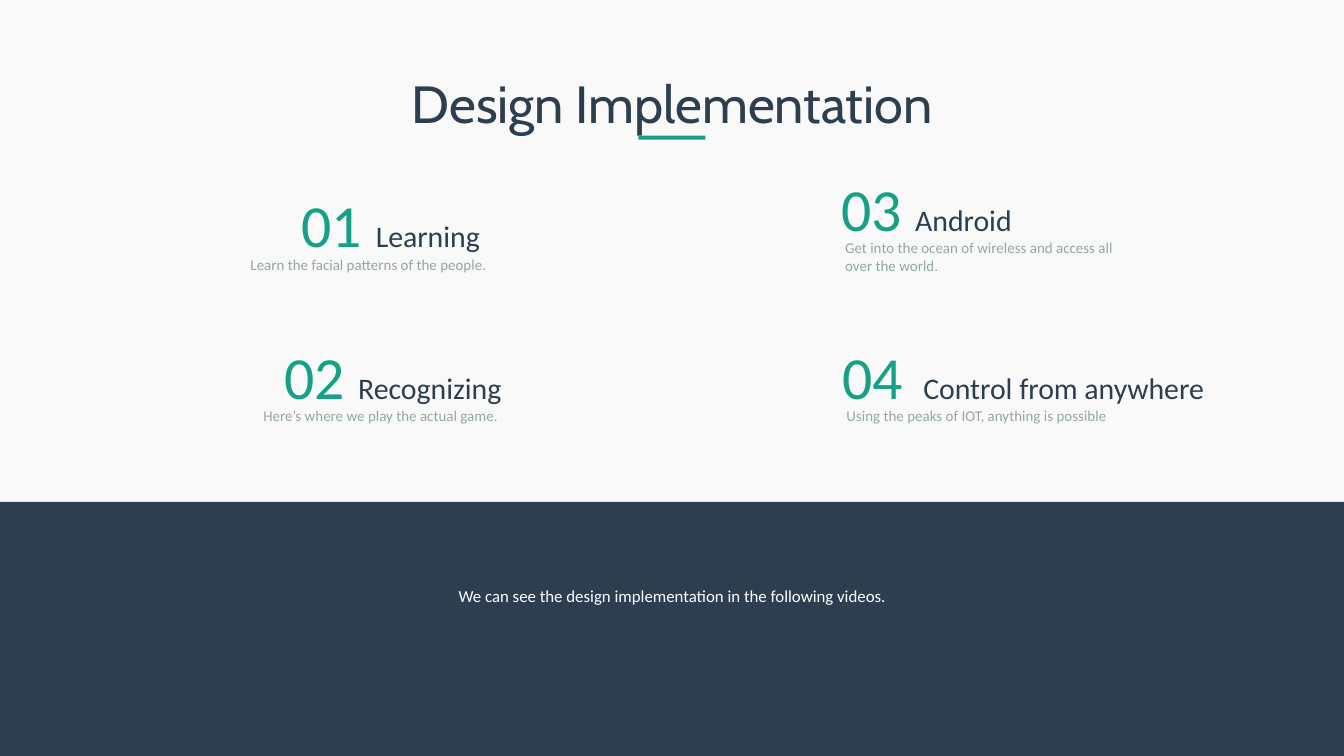
"""Build the Design Implementation slide: four numbered steps above a dark band."""
import pptx
import pptx.util
import pptx.dml.color
import pptx.enum.shapes
import pptx.enum.text

RGB = pptx.dml.color.RGBColor
NAVY = RGB(0x2C, 0x3E, 0x50)
GREEN = RGB(0x16, 0xA0, 0x85)
GRAY = RGB(0x95, 0xA5, 0xA6)
WHITE = RGB(0xFF, 0xFF, 0xFF)
PALE = RGB(0xF9, 0xF9, 0xF9)
ALIGN = pptx.enum.text.PP_ALIGN
ANCHOR = pptx.enum.text.MSO_ANCHOR
inch = pptx.util.Inches

WIDE = 10
HIGH = WIDE * 9 / 16
BAND_H = 1.89
HEAD_W, HEAD_H = 3.47, 0.34
BODY_W, BODY_H = 2.36, 0.5
DROP, INDENT = 0.5, 0.03
TITLE = "Design Implementation"
NOTE = "We can see the design implementation in the following videos."
STEPS = [
    ("03 ", "Android", "Get into the ocean of wireless and access all over the world.",
     ALIGN.LEFT, 6.16, 1.23),
    ("04 ", " Control from anywhere", "Using the peaks of IOT, anything is possible",
     ALIGN.LEFT, 6.17, 2.48),
    ("01 ", "Learning ", "Learn the facial patterns of the people.",
     ALIGN.RIGHT, 0.25, 1.35),
    ("02 ", "Recognizing", "Here’s where we play the actual game. ",
     ALIGN.RIGHT, 0.36, 2.48),
]


def add_text(shapes, area, runs, align=ALIGN.CENTER, font="Calibri",
             anchor=ANCHOR.TOP, line=None):
    """Add a wrapped text box; each run is (text, size, color)."""
    frame = shapes.add_textbox(*map(inch, area)).text_frame
    frame.word_wrap = True
    frame.vertical_anchor = anchor
    para = frame.paragraphs[0]
    para.alignment = align
    para.line_spacing = line
    for text, size, color in runs:
        run = para.add_run()
        run.text = text
        run.font.name = font
        run.font.size = pptx.util.Pt(size)
        run.font.color.rgb = color


def add_bar(shapes, area, color):
    """Add a plain filled rectangle."""
    bar = shapes.add_shape(pptx.enum.shapes.MSO_SHAPE.RECTANGLE, *map(inch, area))
    bar.shadow.inherit = False
    bar.fill.solid()
    bar.fill.fore_color.rgb = color
    bar.line.fill.background()


def add_step(shapes, num, name, body, align, left, top):
    """Add one grouped step: number and name above its description."""
    group = shapes.add_group_shape().shapes
    shift = INDENT if align == ALIGN.LEFT else HEAD_W - BODY_W
    add_text(group, (left, top, HEAD_W, HEAD_H),
             [(num, 32, GREEN), (name, 16, NAVY)], align=align)
    add_text(group, (left + shift, top + DROP, BODY_W, BODY_H),
             [(body, 8, GRAY)], align=align)


def main():
    """Lay out the slide and save it."""
    deck = pptx.Presentation()
    deck.slide_width, deck.slide_height = inch(WIDE), inch(HIGH)
    slide = deck.slides.add_slide(deck.slide_layouts[6])
    slide.background.fill.solid()
    slide.background.fill.fore_color.rgb = PALE
    shapes = slide.shapes
    add_text(shapes, (0.5, 0.48, WIDE - 1, 0.57), [(TITLE, 28, NAVY)],
             font="Cabin", anchor=ANCHOR.MIDDLE)
    add_bar(shapes, ((WIDE - 0.5) / 2, 1.01, 0.5, 0.03), GREEN)
    add_bar(shapes, (0, HIGH - BAND_H, WIDE, BAND_H), NAVY)
    add_text(shapes, ((WIDE - 8.67) / 2, 4.23, 8.67, 0.89), [(NOTE, 9, WHITE)], line=1.5)
    for step in STEPS:
        add_step(shapes, *step)
    deck.save("out.pptx")


if __name__ == "__main__":
    main()
